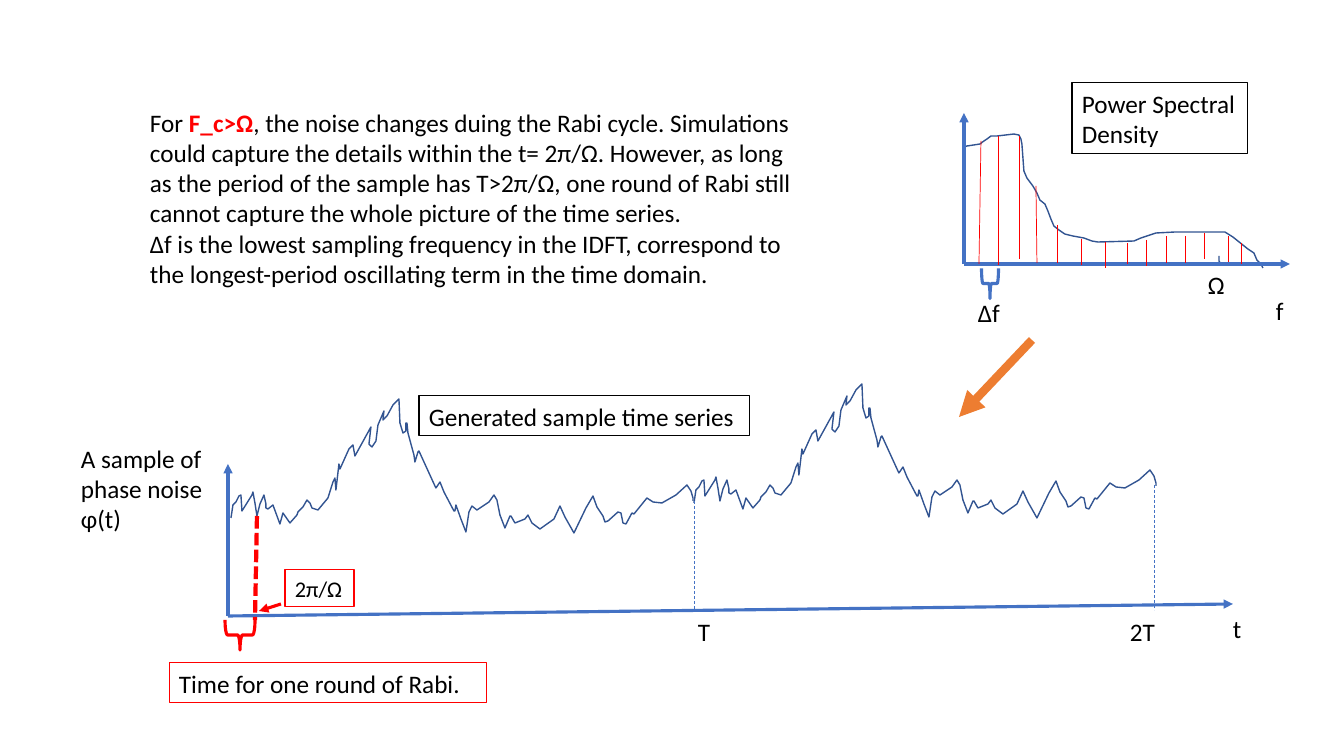
"""Build the slide on phase noise sampling and its power spectral density."""
from lxml.etree import SubElement
from pptx import Presentation
from pptx.dml.color import RGBColor
from pptx.enum.dml import MSO_LINE
from pptx.enum.shapes import MSO_CONNECTOR, MSO_SHAPE
from pptx.enum.text import PP_ALIGN, MSO_ANCHOR
from pptx.oxml.ns import qn
from pptx.util import Pt

SCALE = 914400 / 100.8
BLACK, RED, BLUE, NAVY, ORANGE = "000000", "FF0000", "4472C4", "325491", "ED7D31"

NOISE_ORIGIN = (231, 399)
NOISE_PERIODS = [(0, 0), (463, -15)]
NOISE = [
    (0, 119), (2, 106), (5, 103), (8, 97), (10, 96), (11, 112), (21, 96), (22, 93),
    (24, 104), (26, 117), (29, 105), (33, 96), (35, 105), (35, 109), (37, 110),
    (42, 106), (49, 125), (52, 114), (59, 124), (66, 116), (67, 113), (72, 108),
    (76, 101), (79, 104), (81, 109), (87, 111), (97, 99), (102, 83), (104, 79),
    (105, 91), (108, 65), (109, 70), (118, 50), (122, 46), (124, 57), (140, 28),
    (138, 45), (141, 48), (145, 42), (147, 26), (153, 12), (152, 21), (156, 17),
    (162, 6), (168, 0), (169, 24), (172, 34), (175, 32), (175, 24), (176, 24),
    (177, 34), (183, 56), (184, 63), (187, 53), (188, 52), (204, 87), (205, 89),
    (209, 83), (213, 93), (223, 112), (224, 112), (225, 106), (230, 120), (235, 133),
    (238, 113), (241, 107), (246, 111), (258, 103), (263, 96), (266, 101), (269, 116),
    (274, 129), (279, 117), (280, 117), (284, 124), (294, 120), (297, 116), (301, 124),
    (309, 130), (323, 120), (329, 107), (334, 118), (343, 134), (355, 109), (362, 97),
    (366, 108), (372, 117), (374, 123), (377, 122), (387, 113), (390, 114), (392, 124),
    (395, 125), (401, 114), (403, 115), (416, 99), (422, 103), (431, 104), (445, 96),
    (456, 86), (460, 92), (462, 99), (462, 102)]
SPECTRUM = [
    (964, 147), (967, 146), (980, 144), (984, 141), (987, 139), (991, 136), (997, 136),
    (1014, 134), (1019, 135), (1021, 139), (1022, 144), (1024, 171), (1027, 178),
    (1033, 186), (1037, 193), (1040, 200), (1045, 204), (1048, 211), (1051, 219),
    (1054, 226), (1059, 230), (1065, 234), (1073, 236), (1084, 238), (1092, 241),
    (1098, 242), (1134, 241), (1141, 238), (1156, 233), (1175, 232), (1225, 232),
    (1233, 237), (1248, 249), (1254, 253), (1257, 260), (1261, 264), (1263, 268)]
OMEGA_MARK = [(1219, 256), (1219, 261), (1220, 263), (1220, 262)]

SAMPLES = [
    (981, 141, 979, 264), (998, 136, 998, 265), (1019, 136, 1019, 259),
    (1036, 186, 1037, 263), (1057, 225, 1057, 263), (1081, 239, 1081, 265),
    (1105, 242, 1105, 268), (1127, 243, 1127, 264), (1146, 240, 1146, 266),
    (1166, 236, 1166, 263), (1185, 236, 1185, 263), (1204, 233, 1204, 259),
    (1228, 236, 1228, 262), (1241, 243, 1241, 264)]
LINES = [
    ((228, 616, 228, 464), BLUE, 2.25, None, True),
    ((228, 616, 1233, 604), BLUE, 2.25, None, True),
    ((964, 264, 964, 113), BLUE, 2.25, None, True),
    ((964, 264, 1290, 264), BLUE, 2.25, None, True),
    ((281, 604, 259, 611), RED, 2.25, None, True),
    ((1032, 340, 959, 417), ORANGE, 6, None, True),
    ((694, 501, 694, 611), BLUE, 0.5, MSO_LINE.DASH, False),
    ((1154, 485, 1154, 610), BLUE, 0.5, MSO_LINE.DASH, False),
    ((257, 516, 255, 620), RED, 3, MSO_LINE.SQUARE_DOT, False),
] + [(ends, RED, 0.5, None, False) for ends in SAMPLES]
BRACES = [((225, 620, 30, 30), RED), ((975, 275, 30, 17), BLUE)]

LABELS = [
    ((1223, 608, 40, 40), "t"), ((71, 438, 145, 102), "A sample of\nphase noise φ(t)"),
    ((688, 611, 40, 40), "Τ"), ((1120, 611, 52, 40), "2Τ"),
    ((1266, 290, 44, 40), "f"), ((1198, 264, 42, 40), "Ω"), ((968, 292, 43, 40), "Δf")]
FRAMES = [
    ((419, 396, 331, 40), "Generated sample time series", BLACK, 18),
    ((285, 570, 69, 37), "2π/Ω", RED, 16),
    ((169, 663, 318, 40), "Time for one round of Rabi.", RED, 18),
    ((1072, 83, 176, 71), "Power Spectral Density", BLACK, 18)]
EXPLANATION = [
    [("For ", BLACK, False), ("F_c>Ω", RED, True),
     (", the noise changes duing the Rabi cycle. Simulations could capture the details "
      "within the t= 2π/Ω. However, as long as the period of the sample has T>2π/Ω, one "
      "round of Rabi still cannot capture the whole picture of the time series.", BLACK, False)],
    [("Δf is the lowest sampling frequency in the IDFT, correspond to the longest-period "
      "oscillating term in the time domain.", BLACK, False)]]


def px(*values):
    return [round(v * SCALE) for v in values]


def rgb(code):
    return RGBColor.from_string(code)


def stroke(sp, color, width):
    sp.line.color.rgb = rgb(color)
    sp.line.width = Pt(width)


def plain(text):
    return [[(line, BLACK, False)] for line in text.split("\n")]


def write(sp, paragraphs, size=18):
    tf = sp.text_frame
    tf.word_wrap = True
    tf.vertical_anchor = MSO_ANCHOR.TOP
    for i, runs in enumerate(paragraphs):
        p = tf.add_paragraph() if i else tf.paragraphs[0]
        p.alignment = PP_ALIGN.LEFT
        for text, color, bold in runs:
            r = p.add_run()
            r.text = text
            r.font.name, r.font.size, r.font.bold = "Calibri", Pt(size), bold
            r.font.color.rgb = rgb(color)


def add_preset(kind, box, color, width):
    sp = shapes.add_shape(kind, *px(*box))
    sp.shadow.inherit = False
    sp.fill.background()
    stroke(sp, color, width)
    return sp


def add_line(ends, color, width, dash, arrow):
    sp = shapes.add_connector(MSO_CONNECTOR.STRAIGHT, *px(*ends))
    stroke(sp, color, width)
    if dash:
        sp.line.dash_style = dash
    sp_pr = sp.element.find(qn("p:spPr"))
    if arrow:
        SubElement(sp_pr.find(qn("a:ln")), qn("a:tailEnd"), type="triangle")
    SubElement(sp_pr, qn("a:effectLst"))


def add_curve(points):
    builder = shapes.build_freeform(*points[0], scale=SCALE)
    builder.add_line_segments(points[1:], close=False)
    sp = builder.convert_to_shape()
    sp.shadow.inherit = False
    sp.fill.background()
    stroke(sp, NAVY, 1)


prs = Presentation()
prs.slide_width, prs.slide_height = px(1344, 756)
shapes = prs.slides.add_slide(prs.slide_layouts[6]).shapes

for dx, dy in NOISE_PERIODS:
    left, top = NOISE_ORIGIN[0] + dx, NOISE_ORIGIN[1] + dy
    add_curve([(left + x, top + y) for x, y in NOISE])
for points in (SPECTRUM, OMEGA_MARK):
    add_curve(points)
for line in LINES:
    add_line(*line)
for box, color in BRACES:
    add_preset(MSO_SHAPE.RIGHT_BRACE, box, color, 2.25).rotation = 90
for box, text in LABELS:
    write(shapes.add_textbox(*px(*box)), plain(text))
for box, text, color, size in FRAMES:
    write(add_preset(MSO_SHAPE.RECTANGLE, box, color, 0.75), plain(text), size)
write(shapes.add_textbox(*px(140, 102, 672, 194)), EXPLANATION)

prs.save("out.pptx")
